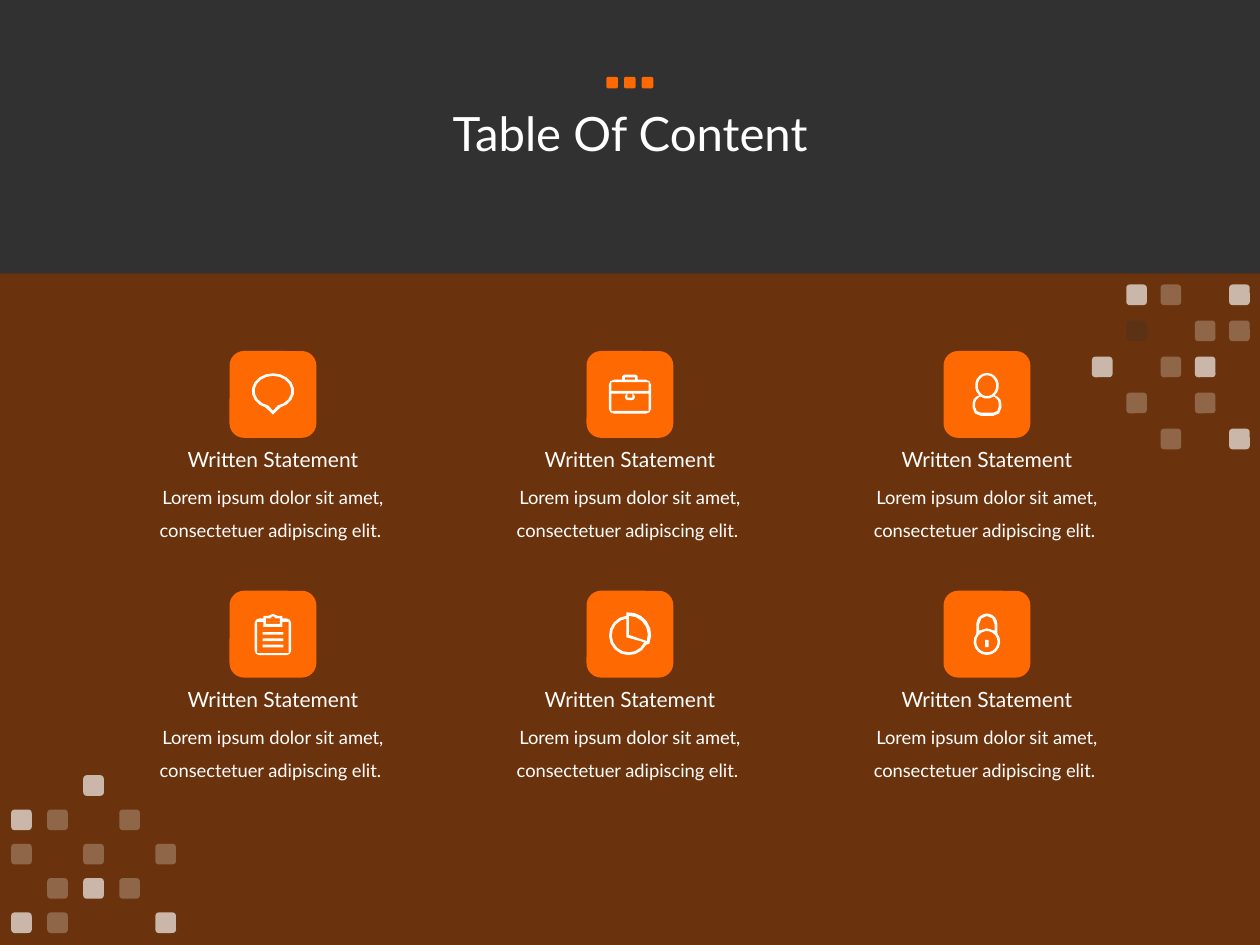
from math import cos, radians, sin
from lxml.etree import SubElement
from pptx import Presentation
from pptx.dml.color import RGBColor
from pptx.enum.shapes import MSO_SHAPE
from pptx.enum.text import MSO_ANCHOR, MSO_AUTO_SIZE, PP_ALIGN
from pptx.oxml.ns import qn
from pptx.util import Pt

WHITE, DARK, BROWN, ORANGE = "FFFFFF", "313131", "7F3401", "FE6902"
TILE = 49.6
HEAD = "Written Statement"
BODY = "Lorem ipsum dolor sit amet, consectetuer adipiscing elit. "
TONES = {"#": (WHITE, 65), "x": (WHITE, 25), "d": (DARK, 25)}
LEFT = ["..#..", "#x.x.", "x.x.x", ".x#x.", "#x..#"]
RIGHT = [".#x.#", ".d.xx", "#.x#.", ".x.x.", "..x.#"]


def apply(item, form):
    for key, value in form.items():
        setattr(item, key, value)


def paint(fill, tone, alpha=100):
    fill.solid()
    fill.fore_color.rgb = RGBColor.from_string(tone)
    if alpha < 100:
        node = next(fill._xPr.iter(qn("a:srgbClr")))
        SubElement(node, qn("a:alpha"), val=str(alpha * 1000))


def finish(shape, tone, alpha=100):
    paint(shape.fill, tone, alpha)
    shape.line.fill.background()
    shape.shadow.inherit = False


def block(shapes, kind, x, y, w, h, tone, alpha=100):
    finish(shapes.add_shape(kind, Pt(x), Pt(y), Pt(w), Pt(h)), tone, alpha)


def write(shape, text, size, space=1.0, fit=MSO_AUTO_SIZE.NONE):
    frame = shape.text_frame
    frame.text = text
    apply(frame, {"word_wrap": True, "auto_size": fit,
                  "vertical_anchor": MSO_ANCHOR.MIDDLE})
    para = frame.paragraphs[0]
    apply(para, {"alignment": PP_ALIGN.CENTER, "line_spacing": space})
    font = para.runs[0].font
    apply(font, {"name": "Lato", "size": Pt(size), "bold": False})
    font.color.rgb = RGBColor.from_string(WHITE)


def label(shapes, mid, y, h, text, size, space=1.0):
    box = shapes.add_textbox(Pt(mid - 90), Pt(y), Pt(180), Pt(h))
    write(box, text, size, space, MSO_AUTO_SIZE.SHAPE_TO_FIT_TEXT)


def arc(x, y, rx, ry, start, end):
    count = max(2, abs(end - start) // (20 if rx > 5 else 45))
    turns = [radians(start + (end - start) * i / count) for i in range(count + 1)]
    return [(x + rx * cos(t), y + ry * sin(t)) for t in turns]


def box(l, t, r, b, c=0):
    if not c:
        return [(l, t), (r, t), (r, b), (l, b)]
    spots = [(l + c, t + c), (r - c, t + c), (r - c, b - c), (l + c, b - c)]
    return [p for i, (x, y) in enumerate(spots)
            for p in arc(x, y, c, c, 180 + 90 * i, 270 + 90 * i)]


def bubble():
    return [arc(0, -2, 12.1, 10.1, 110, 430) + [(0, 11.5)],
            arc(0, -2, 10.5, 8.6, 105, 435) + [(0, 9.3)]]


def case():
    return [box(-12.1, -8.4, 12.1, 11, 3), box(-10.6, -7, 10.6, -2),
            box(-10.6, -0.4, 10.6, 9.4),
            box(-2.9, -0.4, 2.9, 3.3, 1.8), box(-1.4, -0.4, 1.4, 1.8),
            [(-4.4, -8.4), (-4.4, -10.4), (-3.4, -11.3), (3.4, -11.3),
             (4.4, -10.4), (4.4, -8.4), (2.9, -8.4), (2.9, -9.7),
             (-2.9, -9.7), (-2.9, -8.4)]]


def person():
    return [arc(0, -5, 6.8, 7.3, 130, 410) + arc(3.9, 5, 4.3, 4.3, -60, 0)
            + arc(3.7, 7.7, 4.5, 4.5, 0, 90) + arc(-3.7, 7.7, 4.5, 4.5, 90, 180)
            + arc(-3.9, 5, 4.3, 4.3, 180, 240),
            arc(0, -5, 5.3, 6, 0, 360),
            arc(0, -5, 6.8, 7.5, 125, 55) + arc(3.7, 4.8, 3, 3, -60, 0)
            + arc(3.7, 7.4, 3, 3, 0, 90) + arc(-3.7, 7.4, 3, 3, 90, 180)
            + arc(-3.7, 4.8, 3, 3, 180, 240)]


def board():
    rules = [box(-5.9, y, 5.9, y + 1.5) for y in (-1.2, 2.4, 6)]
    return [box(-10.4, -9, 10.4, 12, 2.6), box(-9, -7, 9, 10.8),
            box(-5.4, -7, 5.4, -4.2),
            [(-5.4, -9), (-5.4, -10.4), (-2.9, -10.4), (0, -11.6),
             (2.9, -10.4), (5.4, -10.4), (5.4, -9)],
            [(-4, -9), (-1.8, -9), (0, -10.3), (1.8, -9), (4, -9),
             (4, -5.9), (-4, -5.9)]] + rules


def pie():
    return [arc(-0.7, 0.7, 11.3, 11.3, 28, 263)
            + arc(-0.7, 0.3, 12.8, 12.8, -96, 24),
            arc(-0.7, 0.7, 9.7, 9.7, 24, 262) + [(-2, 1.8)],
            arc(-0.7, 0.4, 10.9, 10.9, -90, 19) + [(-0.7, 0.4)]]


def lock():
    return [arc(0, 4.3, 7.6, 7.6, -38, 218) + arc(0, -5.8, 6, 6, 180, 360),
            arc(0, -5.8, 4.4, 4.6, 180, 360) + [(4.4, -2), (0, -3.4), (-4.4, -2)],
            arc(0, 4.3, 6.1, 6.1, 0, 360), box(-1, 3.2, 1, 7.4)]


def icon(shapes, x, y, rings):
    rings = [[(Pt(x + a), Pt(y + b)) for a, b in ring] for ring in rings]
    pen = shapes.build_freeform(*rings[0][0])
    pen.add_line_segments(rings[0][1:])
    for ring in rings[1:]:
        pen.move_to(*ring[0])
        pen.add_line_segments(ring[1:])
    finish(pen.convert_to_shape(), WHITE)


def card(shapes, mid, top, rings):
    block(shapes, MSO_SHAPE.ROUNDED_RECTANGLE, mid - TILE / 2, top,
          TILE, TILE, ORANGE)
    icon(shapes, mid, top + TILE / 2, rings)
    label(shapes, mid, top + 68.2, 43.2, BODY, 10.5, 1.5)
    label(shapes, mid, top + 51.2, 21.6, HEAD, 12)


def tiles(shapes, rows, x, y, dx, dy, size, tones):
    group = shapes.add_group_shape()
    for j, row in enumerate(rows):
        for i, mark in enumerate(row):
            if mark in tones:
                block(group.shapes, MSO_SHAPE.ROUNDED_RECTANGLE, x + i * dx,
                      y + j * dy, size, size, *tones[mark])


def main():
    deck = Presentation()
    apply(deck, {"slide_width": Pt(720), "slide_height": Pt(540)})
    slide = deck.slides.add_slide(deck.slide_layouts[5])
    paint(slide.background.fill, DARK)
    shapes = slide.shapes
    title = shapes.title
    apply(title, {"left": Pt(49.7), "top": Pt(25.9),
                  "width": Pt(620.6), "height": Pt(104.4)})
    write(title, "Table Of Content", 27, 0.9)
    block(shapes, MSO_SHAPE.RECTANGLE, 0, 156.2, 720, 383.8, BROWN, 75)
    for i, draw in enumerate([bubble, case, person, board, pie, lock]):
        row, col = divmod(i, 3)
        card(shapes, 156 + 204 * col, 200.6 + 137 * row, draw())
    tiles(shapes, LEFT, 6.4, 443, 20.6, 19.6, 11.8, TONES)
    tiles(shapes, RIGHT, 624, 162.6, 19.6, 20.6, 11.8, TONES)
    tiles(shapes, ["###"], 346.5, 43.9, 10.1, 0, 6.6, {"#": (ORANGE,)})
    deck.save("out.pptx")


if __name__ == "__main__":
    main()
